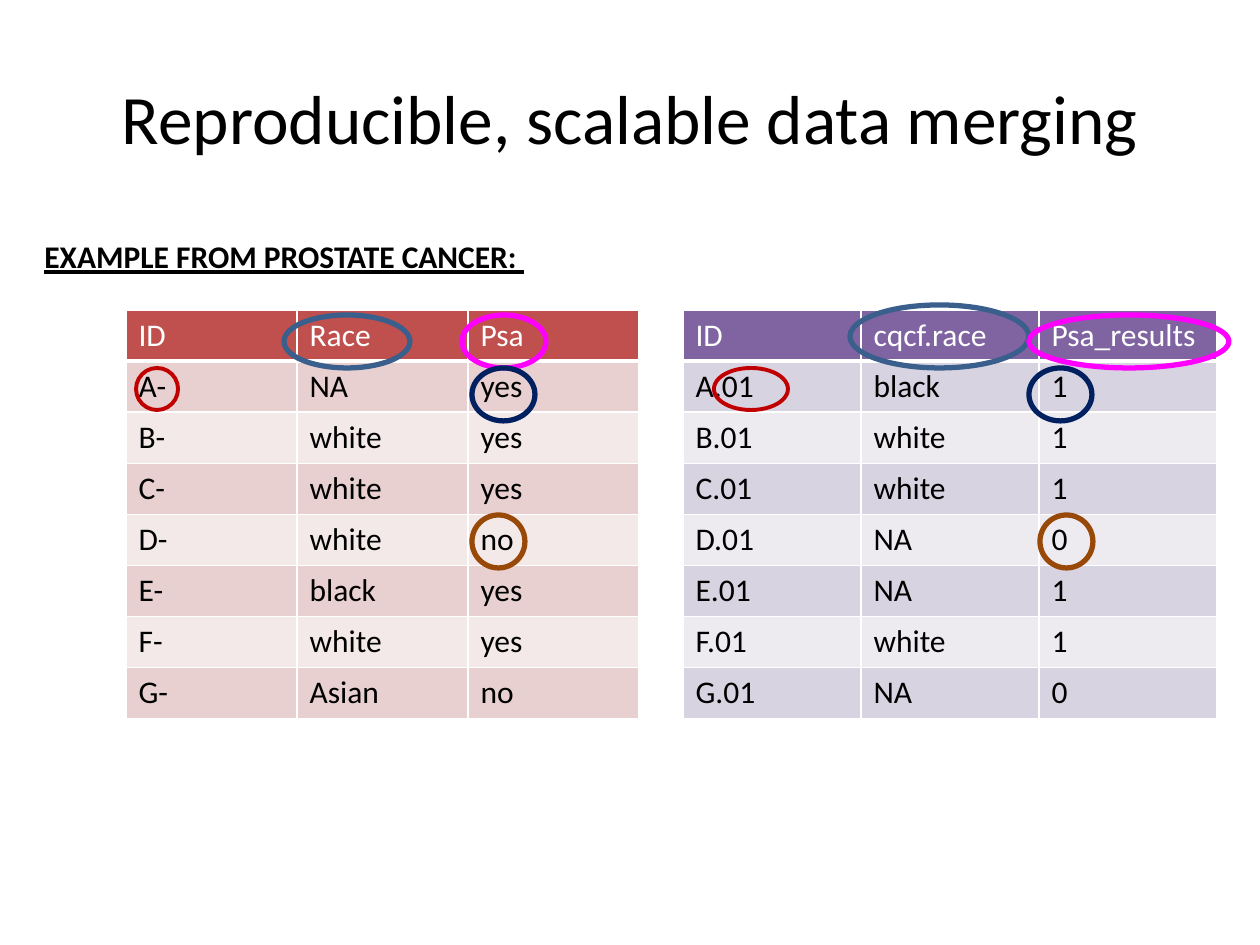
"""Build a slide that compares two prostate cancer tables whose columns need merging."""
from lxml.etree import SubElement
from pptx import Presentation
from pptx.dml.color import RGBColor
from pptx.enum.shapes import MSO_SHAPE as Shape
from pptx.enum.text import MSO_ANCHOR as Anchor, PP_ALIGN as Align
from pptx.oxml.ns import qn
from pptx.util import Emu, Pt

PX = 914400 // 126
FONT = "Calibri"
TITLE = "Reproducible, scalable data merging"
HEADING = "EXAMPLE FROM PROSTATE CANCER: "
TABLE_TOP, ROW_HEIGHT = 310, 51

TABLES = [
    {"left": 126, "column": 171, "header": "C0504D", "bands": ("E8D0D0", "F4E9E9"),
     "rows": [("ID", "Race", "Psa"),
              ("A-", "NA", "yes"),
              ("B-", "white", "yes"),
              ("C-", "white", "yes"),
              ("D-", "white", "no"),
              ("E-", "black", "yes"),
              ("F-", "white", "yes"),
              ("G-", "Asian", "no")]},
    {"left": 683, "column": 178, "header": "8064A2", "bands": ("D8D3E0", "EDEAF0"),
     "rows": [("ID", "cqcf.race", "Psa_results"),
              ("A.01", "black", "1"),
              ("B.01", "white", "1"),
              ("C.01", "white", "1"),
              ("D.01", "NA", "0"),
              ("E.01", "NA", "1"),
              ("F.01", "white", "1"),
              ("G.01", "NA", "0")]},
]

MATCHES = [
    ("C00000", 2.25, [(136, 368, 42, 42), (714, 368, 74, 42)]),
    ("3A5F8C", 3, [(284, 315, 126, 53), (850, 305, 179, 63)]),
    ("FF00FF", 3, [(462, 315, 84, 53), (1029, 315, 200, 53)]),
    ("002060", 3, [(472, 368, 63, 53), (1029, 368, 63, 53)]),
    ("984807", 3, [(472, 515, 53, 53), (1040, 515, 53, 53)]),
]


def px(*lengths):
    return [Emu(length * PX) for length in lengths]


def color(code):
    return RGBColor.from_string(code)


def write(frame, text, size, code="000000", bold=False, underline=False):
    frame.text = text
    font = frame.paragraphs[0].runs[0].font
    font.name, font.size, font.bold, font.underline = FONT, Pt(size), bold, underline
    font.color.rgb = color(code)


def set_borders(cell, bottom):
    properties = cell._tc.get_or_add_tcPr()
    widths = {"a:lnL": 1, "a:lnR": 1, "a:lnT": 1, "a:lnB": bottom}
    for position, (side, width) in enumerate(widths.items()):
        border = SubElement(properties, qn(side), w=str(Pt(width)))
        fill = SubElement(border, qn("a:solidFill"))
        SubElement(fill, qn("a:srgbClr"), val="FFFFFF")
        properties.insert(position, border)


def add_data_table(slide, left, column, header, bands, rows):
    columns = len(rows[0])
    box = px(left, TABLE_TOP, column * columns, ROW_HEIGHT * len(rows))
    table = slide.shapes.add_table(len(rows), columns, *box).table
    for row, values in enumerate(rows):
        is_header = row == 0
        for col, value in enumerate(values):
            cell = table.cell(row, col)
            write(cell.text_frame, value, 18, "FFFFFF" if is_header else "000000")
            cell.fill.solid()
            cell.fill.fore_color.rgb = color(header if is_header else bands[(row - 1) % 2])
            set_borders(cell, 3 if is_header else 1)


def add_ring(slide, box, code, width):
    ring = slide.shapes.add_shape(Shape.OVAL, *px(*box))
    ring.shadow.inherit = False
    ring.fill.background()
    ring.line.color.rgb = color(code)
    ring.line.width = Pt(width)


def main():
    deck = Presentation()
    deck.slide_width, deck.slide_height = px(1260, 945)
    slide = deck.slides.add_slide(deck.slide_layouts[5])

    title = slide.shapes.title
    title.left, title.top, title.width, title.height = px(63, 38, 1134, 157)
    write(title.text_frame, TITLE, 39.6)
    title.text_frame.vertical_anchor = Anchor.MIDDLE
    title.text_frame.paragraphs[0].alignment = Align.CENTER

    for table in TABLES:
        add_data_table(slide, **table)
    for code, width, boxes in MATCHES:
        for box in boxes:
            add_ring(slide, box, code, width)

    heading = slide.shapes.add_textbox(*px(32, 231, 509, 51))
    heading.text_frame.word_wrap = False
    write(heading.text_frame, HEADING, 18, bold=True, underline=True)
    deck.save("out.pptx")


if __name__ == "__main__":
    main()
